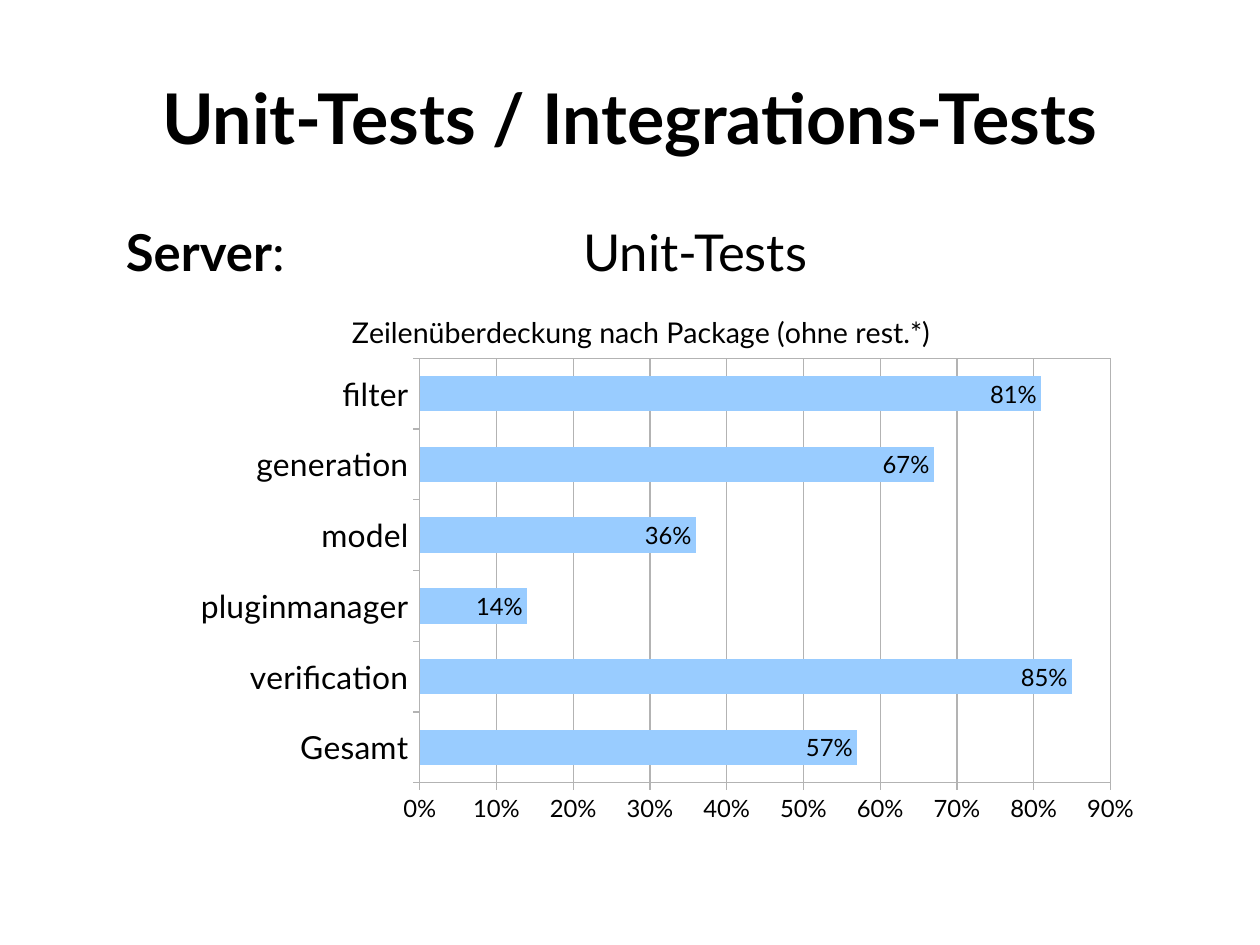
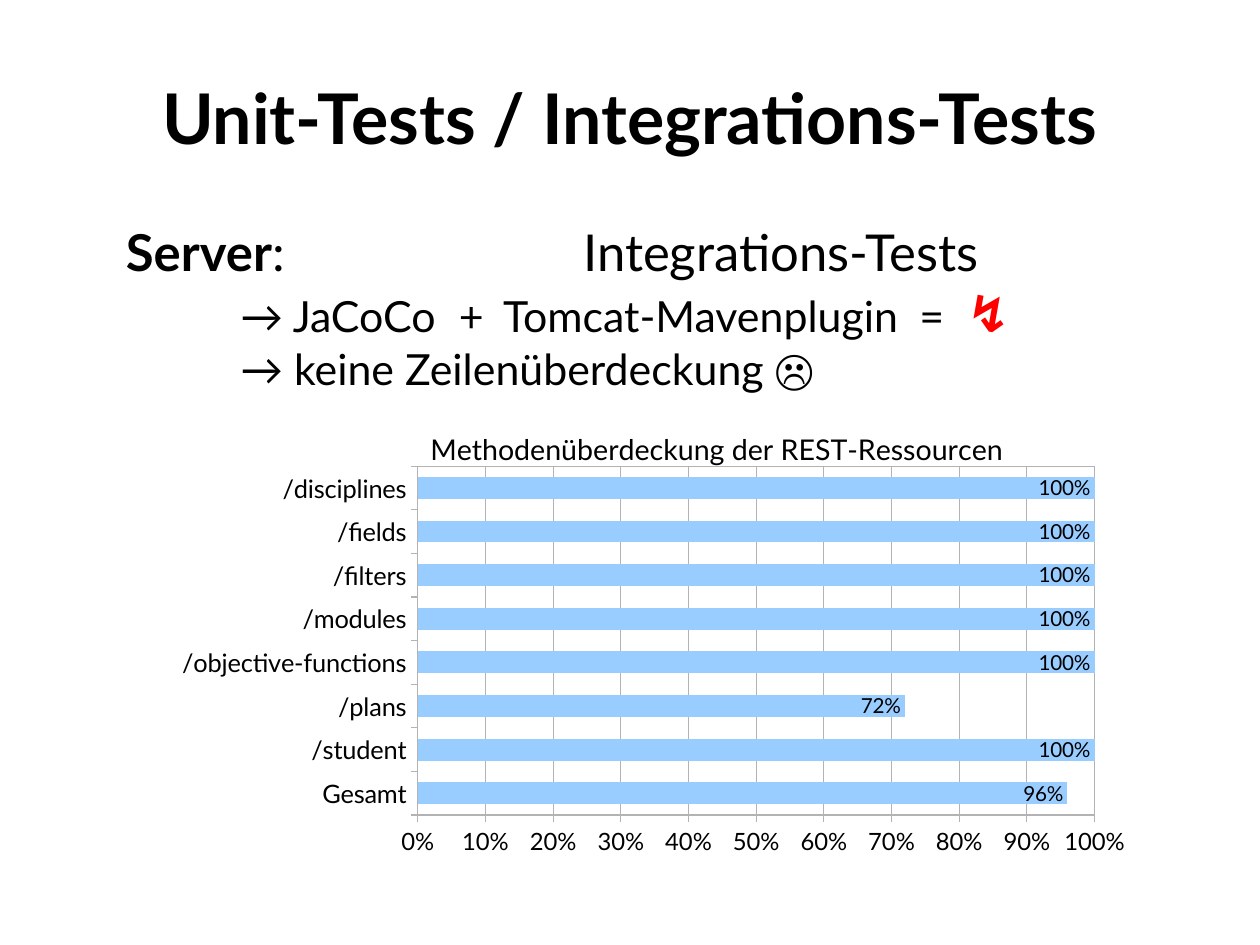
from lxml import etree
from pptx import Presentation
from pptx.chart import data as cd
from pptx.dml.color import RGBColor
from pptx.enum import chart as ch, text as tx
from pptx.oxml import ns
from pptx.util import Cm, Pt

BLACK = RGBColor(0, 0, 0)
RED = RGBColor(0xFF, 0, 0)
GRAY = RGBColor(0xB3, 0xB3, 0xB3)
BLUE = RGBColor(0x99, 0xCC, 0xFF)
FONT = "Lato"
TITLE = "Unit-Tests / Integrations-Tests"
INDENT, TOPIC = 2.54, 10.16  # tab stops in cm


def style(font, size, bold=False, color=BLACK, name=FONT):
    font.name, font.size, font.bold = name, Pt(size), bold
    font.color.rgb = color


def clear(frame):
    """Remove the insets of a text frame and let it wrap."""
    frame.margin_left = frame.margin_right = 0
    frame.margin_top = frame.margin_bottom = 0
    frame.word_wrap = True
    frame.auto_size = tx.MSO_AUTO_SIZE.NONE


def add_slide(prs):
    """Start a slide with the shared title."""
    slide = prs.slides.add_slide(prs.slide_layouts[5])
    title = slide.shapes.title
    title.left, title.top = Cm(1.4), Cm(0.84)
    title.width, title.height = Cm(25.2), Cm(3.5)
    frame = title.text_frame
    clear(frame)
    frame.vertical_anchor = tx.MSO_ANCHOR.MIDDLE
    frame.text = TITLE
    para = frame.paragraphs[0]
    para.alignment = tx.PP_ALIGN.CENTER
    style(para.font, 44, True)
    return slide


def set_tabs(para, stops):
    tabs = etree.SubElement(para._p.get_or_add_pPr(), ns.qn("a:tabLst"))
    for stop in stops:
        etree.SubElement(tabs, ns.qn("a:tab"), pos=str(Cm(stop)), algn="l")


def add_body(slide, box, lines):
    """Each line is (size, tab stops, runs); a run is (text, font changes)."""
    frame = slide.shapes.add_textbox(*map(Cm, box)).text_frame
    clear(frame)
    for i, (size, stops, runs) in enumerate(lines):
        para = frame.paragraphs[0] if i == 0 else frame.add_paragraph()
        set_tabs(para, stops)
        style(para.font, size)
        for text, change in runs:
            run = para.add_run()
            run.text = text
            if change:
                style(run.font, **{"size": size, **change})


def head(topic):
    return 32, [TOPIC], [("Server", {"bold": True}), (":\t" + topic, {})]


def set_layout(node, index, **parts):
    """Place a chart part by hand, in fractions of the chart."""
    for old in node.findall(ns.qn("c:layout")):
        node.remove(old)
    layout = etree.Element(ns.qn("c:layout"))
    manual = etree.SubElement(layout, ns.qn("c:manualLayout"))
    for key, val in parts.items():
        etree.SubElement(manual, ns.qn("c:" + key), val=str(val))
    node.insert(index, layout)


def thin(line):
    line.color.rgb = GRAY
    line.width = 0


def frame_plot(area):
    """Draw a thin border round the plot area."""
    props = etree.SubElement(area, ns.qn("c:spPr"))
    etree.SubElement(props, ns.qn("a:noFill"))
    line = etree.SubElement(props, ns.qn("a:ln"), w="0")
    fill = etree.SubElement(line, ns.qn("a:solidFill"))
    etree.SubElement(fill, ns.qn("a:srgbClr"), val=str(GRAY))


def add_bars(slide, box, title, at, plot, rows, top, sizes):
    """Bar chart of percentages; rows run from the bottom up."""
    data = cd.CategoryChartData(number_format="0%")
    data.categories = [name for name, _ in rows]
    data.add_series("Series 1", [val / 100 for _, val in rows])
    chart = slide.shapes.add_chart(
        ch.XL_CHART_TYPE.BAR_CLUSTERED, *map(Cm, box), data).chart
    style(chart.font, 10, name="Arial")
    chart.has_legend = False

    # Title and plot area
    chart.has_title = True
    frame = chart.chart_title.text_frame
    frame.text = title
    style(frame.paragraphs[0].runs[0].font, 18)
    set_layout(chart.element.xpath(".//c:title")[0], 1,
               xMode="edge", yMode="edge", x=at[0], y=at[1])
    area = chart.element.xpath(".//c:plotArea")[0]
    set_layout(area, 0, layoutTarget="outer", xMode="edge", yMode="edge",
               x=plot[0], y=plot[1], w=plot[2], h=plot[3])
    frame_plot(area)

    # Axes
    cat, val = chart.category_axis, chart.value_axis
    for axis, size in ((cat, sizes[0]), (val, 15)):
        axis.major_tick_mark = ch.XL_TICK_MARK.OUTSIDE
        axis.minor_tick_mark = ch.XL_TICK_MARK.NONE
        style(axis.tick_labels.font, size)
        thin(axis.format.line)
    val.minimum_scale, val.maximum_scale, val.major_unit = 0, top, 0.1
    val.tick_labels.number_format = "0%"
    val.tick_labels.number_format_is_linked = False
    val.has_major_gridlines = True
    thin(val.major_gridlines.format.line)

    # Bars and labels
    bars = chart.plots[0]
    bars.gap_width, bars.vary_by_categories = 100, False
    fill = bars.series[0].format.fill
    fill.solid()
    fill.fore_color.rgb = BLUE
    bars.has_data_labels = True
    labels = bars.data_labels
    labels.show_value = True
    labels.number_format, labels.number_format_is_linked = "0%", False
    labels.position = ch.XL_LABEL_POSITION.INSIDE_END
    style(labels.font, sizes[1])


def unit_slide(prs):
    slide = add_slide(prs)
    add_body(slide, (2.8, 4.9, 22.8, 1.7), [head("Unit-Tests")])
    rows = [("Gesamt", 57), ("verification", 85), ("pluginmanager", 14),
            ("model", 36), ("generation", 67), ("filter", 81)]
    add_bars(slide, (3.6, 6.8, 21.6, 11.6),
             "Zeilenüberdeckung nach Package (ohne rest.*)", (0.19, 0),
             (0.04, 0.1, 0.96, 0.89), rows, 0.9, (20, 15))


def integration_slide(prs):
    slide = add_slide(prs)
    add_body(slide, (2.8, 4.9, 22.8, 4.2), [
        head("Integrations-Tests"),
        (27, [INDENT, 7.4, 8.38, 17.63, 18.7],
         [("\t→ JaCoCo\t+\tTomcat-Mavenplugin\t=\t", {}),
          ("↯", {"size": 32, "bold": True, "color": RED})]),
        (27, [INDENT],
         [("\t→ keine Zeilenüberdeckung ", {}), ("☹", {"name": "Arial"})]),
    ])
    rows = [("Gesamt", 96), ("/student", 100), ("/plans", 72),
            ("/objective-functions", 100), ("/modules", 100),
            ("/filters", 100), ("/fields", 100), ("/disciplines", 100)]
    add_bars(slide, (3.4, 9.4, 21.6, 9.6),
             "Methodenüberdeckung der REST-Ressourcen", (0.28, 0),
             (0.03, 0.1, 0.97, 0.9), rows, 1, (16, 13))


def main():
    prs = Presentation()
    prs.slide_width, prs.slide_height = Cm(28), Cm(21)
    unit_slide(prs)
    integration_slide(prs)
    prs.save("out.pptx")


if __name__ == "__main__":
    main()
